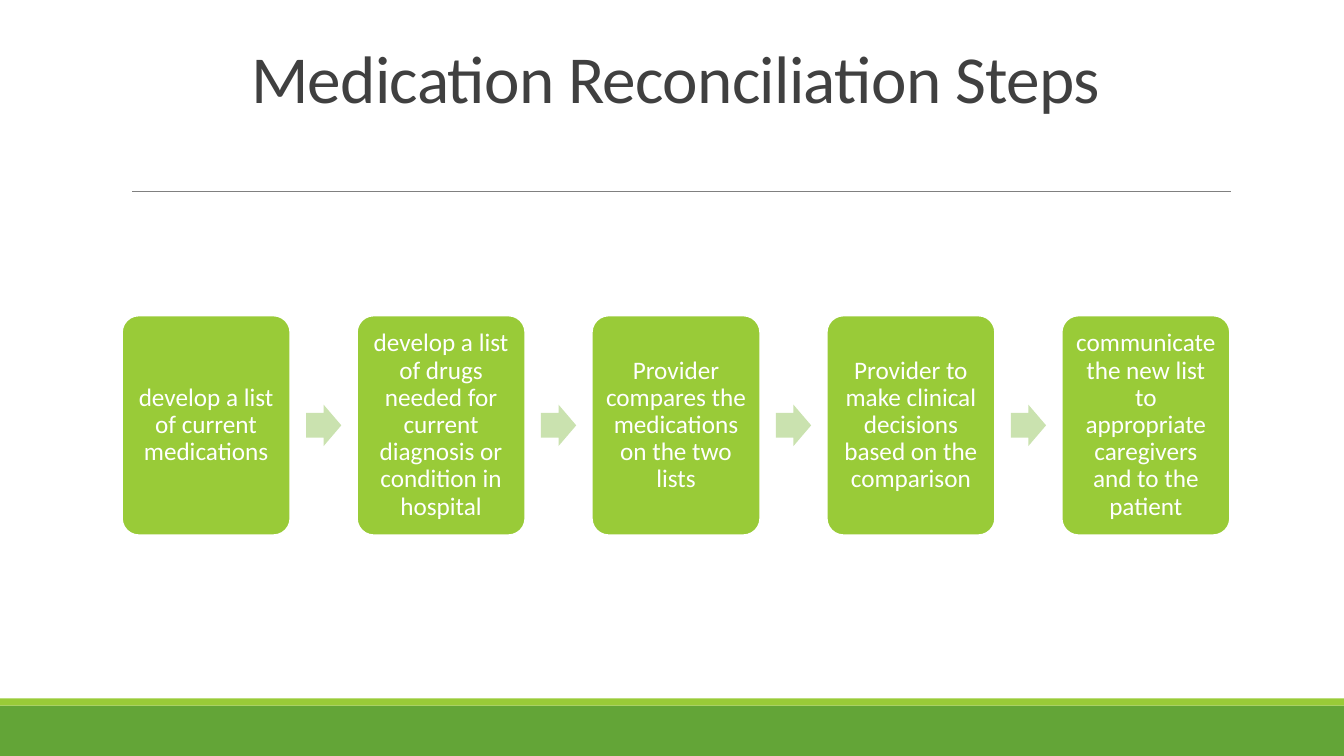
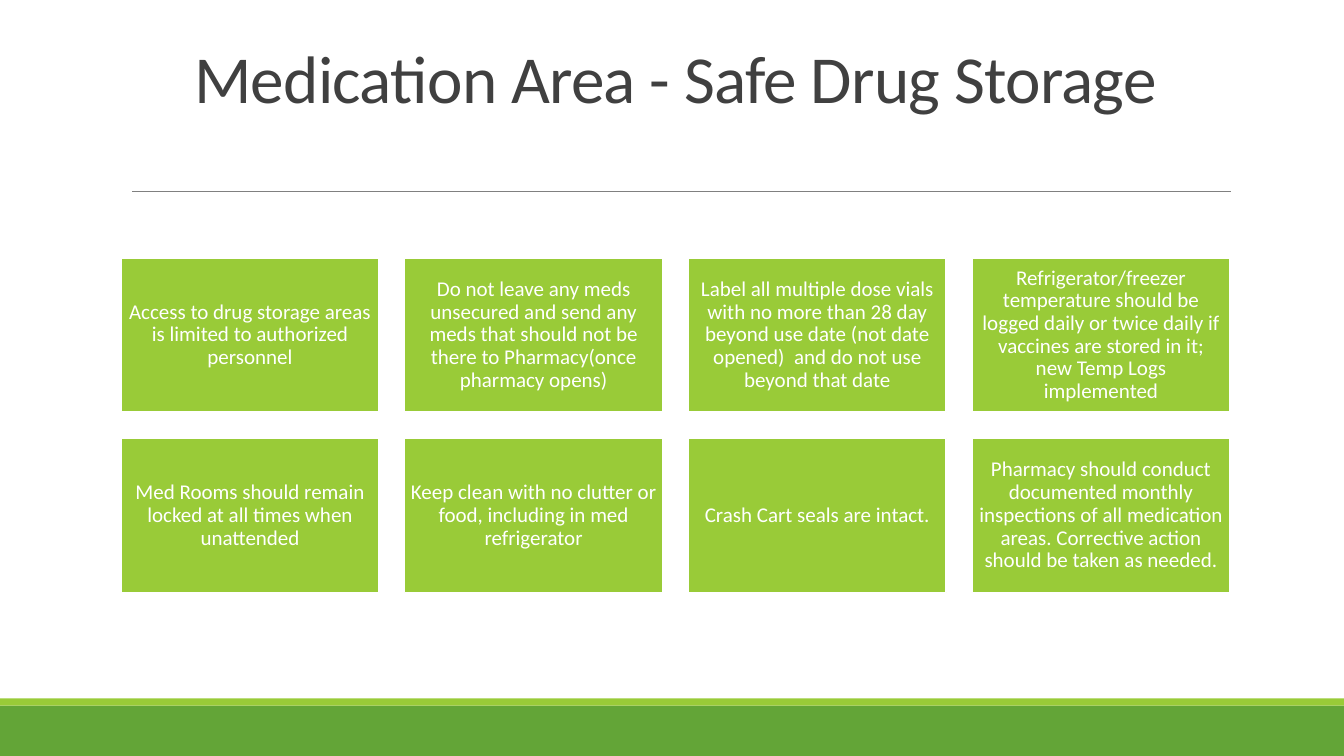
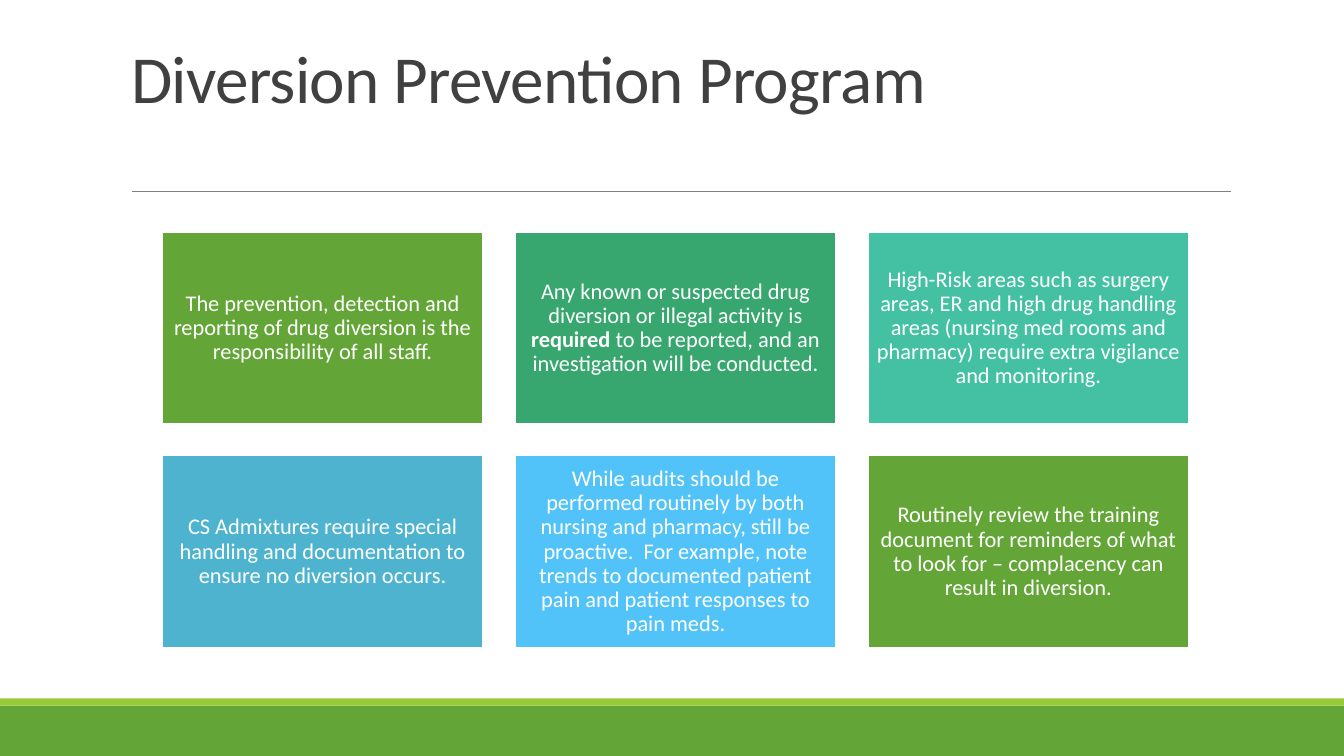
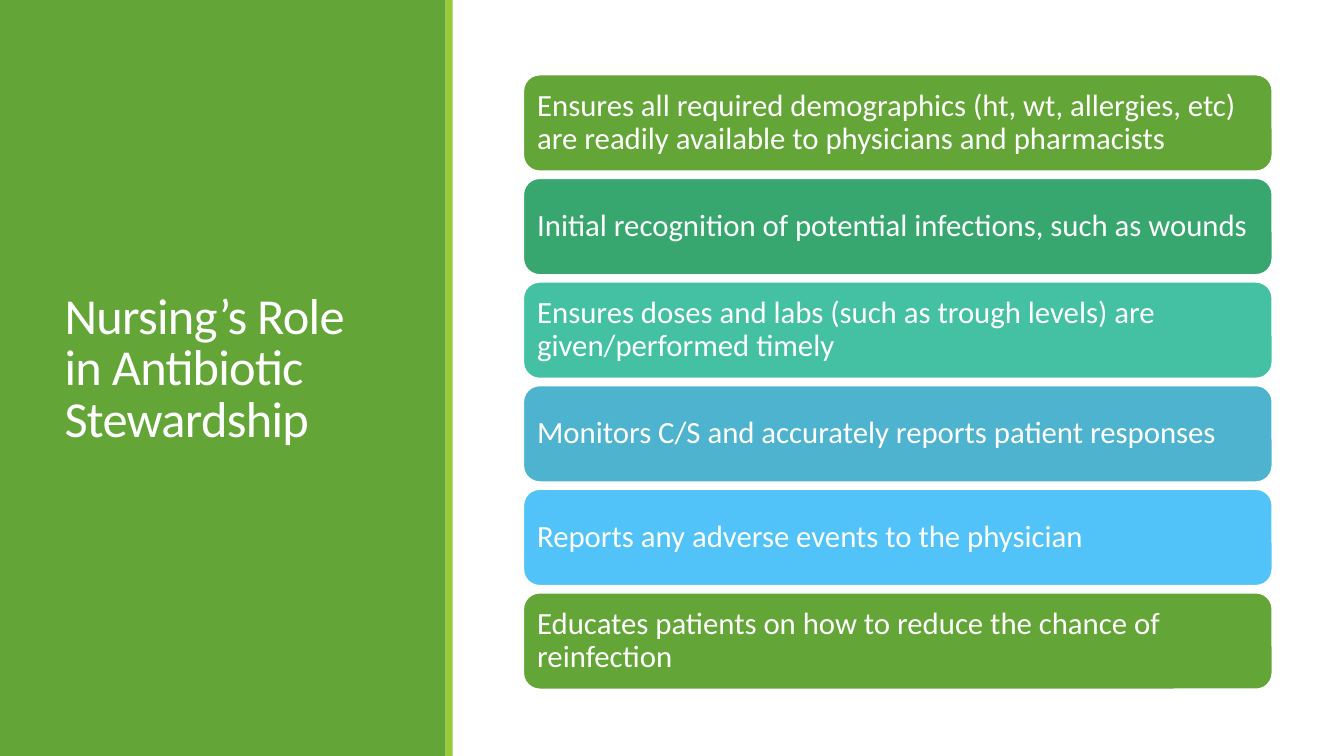
"""Build four slides on medication safety and antibiotic stewardship."""
import pptx
import pptx.dml.color
import pptx.enum.shapes
import pptx.enum.text
import pptx.oxml
import pptx.oxml.ns
import pptx.util

RGBColor = pptx.dml.color.RGBColor
Inches = pptx.util.Inches
Pt = pptx.util.Pt
Shape = pptx.enum.shapes.MSO_SHAPE
Align = pptx.enum.text.PP_ALIGN
Anchor = pptx.enum.text.MSO_ANCHOR

WHITE = RGBColor(0xFF, 0xFF, 0xFF)
DARK = RGBColor(0x40, 0x40, 0x40)
GRAY = RGBColor(0x80, 0x80, 0x80)
GREEN = RGBColor(0x63, 0xA5, 0x37)
LIME = RGBColor(0x99, 0xCB, 0x38)
PALE_LIME = RGBColor(0xCA, 0xE2, 0xAF)
JADE = RGBColor(0x37, 0xA7, 0x6F)
TEAL = RGBColor(0x44, 0xC1, 0xA3)
BLUE = RGBColor(0x4E, 0xB3, 0xCF)
SKY = RGBColor(0x51, 0xC3, 0xF9)
RAINBOW = [GREEN, JADE, TEAL, BLUE, SKY]

FONT = "Calibri"
WIDTH, HEIGHT = 13.33, 7.5
TITLE_BOX = (1.2, 0.31, 11, 1.59)
SIDE_TITLE_BOX = (0.54, 0.57, 3.37, 6.31)
SIDE_WIDTH = 4.42
STRIPE = 0.07
FOOTER_TOP = 7
ARROW_WIDTH, ARROW_HEIGHT = 0.35, 0.41

SLIDES = [
    {
        "title": "Medication Reconciliation Steps", "align": Align.CENTER,
        "area": (1.21, 3.13, 10.99, 2.18), "card": (1.67, 2.18), "columns": 5,
        "shape": Shape.ROUNDED_RECTANGLE, "corner": 0.1, "arrows": True,
        "colors": [LIME], "size": 18, "inset": 0.07,
        "cards": [
            "develop a list of current medications",
            "develop a list of drugs needed for current diagnosis or condition in hospital",
            "Provider compares the medications on the two lists",
            "Provider to make clinical decisions based on the comparison",
            "communicate the new list to appropriate caregivers and to the patient",
        ],
    },
    {
        "title": "Medication Area - Safe Drug Storage", "align": Align.CENTER,
        "area": (1.2, 2.56, 11, 3.32), "card": (2.56, 1.53), "columns": 4,
        "colors": [LIME], "size": 15, "inset": 0.06,
        "cards": [
            "Access to drug storage areas is limited to authorized personnel",
            "Do not leave any meds unsecured and send any meds that should not be there to Pharmacy(once pharmacy opens)",
            "Label all multiple dose vials with no more than 28 day beyond use date (not date opened)  and do not use beyond that date",
            "Refrigerator/freezer temperature should be logged daily or twice daily if vaccines are stored in it; new Temp Logs implemented",
            "Med Rooms should remain locked at all times when unattended",
            "Keep clean with no clutter or food, including in med refrigerator",
            "Crash Cart seals are intact.",
            "Pharmacy should conduct documented monthly inspections of all medication areas. Corrective action should be taken as needed.",
        ],
    },
    {
        "title": "Diversion Prevention Program", "align": Align.LEFT,
        "area": (1.61, 2.3, 10.18, 4.13), "card": (3.18, 1.91), "columns": 3,
        "colors": RAINBOW, "size": 16, "inset": 0.07,
        "cards": [
            "The prevention, detection and reporting of drug diversion is the responsibility of all staff.",
            "Any known or suspected drug diversion or illegal activity is *required* to be reported, and an investigation will be conducted.",
            "High-Risk areas such as surgery areas, ER and high drug handling areas (nursing med rooms and pharmacy) require extra vigilance and monitoring.",
            "CS Admixtures require special handling and documentation to ensure no diversion occurs.",
            "While audits should be performed routinely by both nursing and pharmacy, still be proactive.  For example, note trends to documented patient pain and patient responses to pain meds.",
            "Routinely review the training document for reminders of what to look for – complacency can result in diversion.",
        ],
    },
    {
        "title": "Nursing’s Role in Antibiotic Stewardship", "align": Align.LEFT,
        "side_panel": True,
        "area": (5.19, 0.74, 7.43, 6.1), "card": (7.43, 0.96), "columns": 1,
        "shape": Shape.ROUNDED_RECTANGLE, "corner": 0.17, "card_align": Align.LEFT,
        "colors": RAINBOW, "size": 22, "inset": 0.09,
        "cards": [
            "Ensures all required demographics (ht, wt, allergies, etc) are readily available to physicians and pharmacists",
            "Initial recognition of potential infections, such as wounds",
            "Ensures doses and labs (such as trough levels) are given/performed timely",
            "Monitors C/S and accurately reports patient responses",
            "Reports any adverse events to the physician",
            "Educates patients on how to reduce the chance of reinfection",
        ],
    },
]


def add_block(slide, kind, box, fill, outline=None):
    shape = slide.shapes.add_shape(kind, *map(Inches, box))
    shape.shadow.inherit = False
    shape.fill.solid()
    shape.fill.fore_color.rgb = fill
    if outline is None:
        shape.line.fill.background()
    else:
        shape.line.color.rgb = outline
        shape.line.width = Pt(1.25)
    return shape


def style_paragraph(paragraph, size, color, align, spacing):
    paragraph.alignment = align
    paragraph.line_spacing = spacing
    paragraph.font.name = FONT
    paragraph.font.size = Pt(size)
    paragraph.font.color.rgb = color


def add_title(slide, text, align, side_panel):
    title = slide.shapes.title
    slide.shapes._spTree.append(title._element)
    box = SIDE_TITLE_BOX if side_panel else TITLE_BOX
    title.left, title.top, title.width, title.height = map(Inches, box)
    frame = title.text_frame
    frame.text = text
    frame.word_wrap = True
    frame.auto_size = pptx.enum.text.MSO_AUTO_SIZE.NONE
    frame.vertical_anchor = Anchor.MIDDLE if side_panel else Anchor.BOTTOM
    frame.margin_bottom = Inches(0.15 if side_panel else 0.74)
    paragraph = frame.paragraphs[0]
    style_paragraph(paragraph, 36 if side_panel else 48,
                    WHITE if side_panel else DARK, align, 0.85)
    paragraph.runs[0]._r.get_or_add_rPr().set("spc", "-50")


def add_frame(slide, side_panel):
    if side_panel:
        add_block(slide, Shape.RECTANGLE, (0, 0, SIDE_WIDTH, HEIGHT), GREEN)
        add_block(slide, Shape.RECTANGLE, (SIDE_WIDTH, 0, STRIPE, HEIGHT), LIME)
        return
    add_block(slide, Shape.RECTANGLE, (0, FOOTER_TOP, WIDTH, HEIGHT - FOOTER_TOP), GREEN)
    add_block(slide, Shape.RECTANGLE, (0, FOOTER_TOP - STRIPE, WIDTH, STRIPE), LIME)
    rule = slide.shapes.add_connector(pptx.enum.shapes.MSO_CONNECTOR.STRAIGHT,
                                      *map(Inches, (1.31, 1.9, 12.21, 1.9)))
    rule.line.color.rgb = GRAY
    rule.line.width = Pt(0.5)
    rule._element.spPr.append(pptx.oxml.parse_xml(
        f"<a:effectLst {pptx.oxml.ns.nsdecls('a')}/>"))


def add_card(slide, content, box, color, text):
    card = add_block(slide, content.get("shape", Shape.RECTANGLE), box, color, WHITE)
    if "corner" in content:
        card.adjustments[0] = content["corner"]
    frame = card.text_frame
    frame.word_wrap = True
    frame.vertical_anchor = Anchor.MIDDLE
    frame.margin_left = frame.margin_right = Inches(content["inset"])
    frame.margin_top = frame.margin_bottom = Inches(content["inset"])
    paragraph = frame.paragraphs[0]
    style_paragraph(paragraph, content["size"], WHITE,
                    content.get("card_align", Align.CENTER), 0.9)
    for index, part in enumerate(text.split("*")):
        run = paragraph.add_run()
        run.text = part
        if index % 2:
            run.font.bold = True


def add_arrow(slide, center_x, center_y):
    arrow = add_block(slide, Shape.RIGHT_ARROW,
                      (center_x - ARROW_WIDTH / 2, center_y - ARROW_HEIGHT / 2,
                       ARROW_WIDTH, ARROW_HEIGHT), PALE_LIME)
    arrow.adjustments[0] = 0.6
    arrow.adjustments[1] = 0.5


def add_cards(slide, content):
    left, top, total_width, total_height = content["area"]
    width, height = content["card"]
    columns, colors = content["columns"], content["colors"]
    rows = -(-len(content["cards"]) // columns)
    step_x = (total_width - width) / max(columns - 1, 1)
    step_y = (total_height - height) / max(rows - 1, 1)
    for index, text in enumerate(content["cards"]):
        row, column = divmod(index, columns)
        x, y = left + column * step_x, top + row * step_y
        add_card(slide, content, (x, y, width, height), colors[index % len(colors)], text)
        if content.get("arrows") and column < columns - 1:
            add_arrow(slide, x + (width + step_x) / 2, y + height / 2)


def main():
    presentation = pptx.Presentation()
    presentation.slide_width, presentation.slide_height = Inches(WIDTH), Inches(HEIGHT)
    for content in SLIDES:
        slide = presentation.slides.add_slide(presentation.slide_layouts[5])
        side_panel = content.get("side_panel", False)
        add_frame(slide, side_panel)
        add_title(slide, content["title"], content["align"], side_panel)
        add_cards(slide, content)
    presentation.save("out.pptx")


if __name__ == "__main__":
    main()
